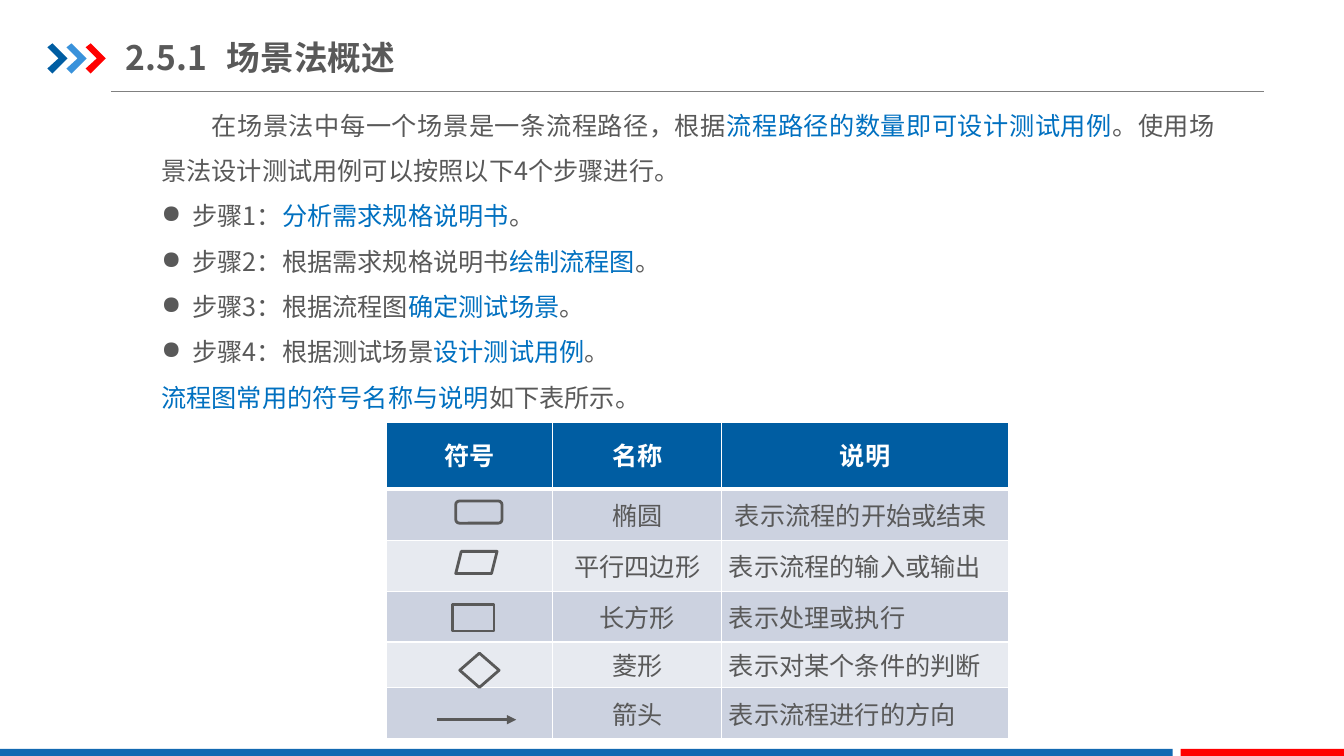
from typing import NamedTuple

import pptx
import pptx.dml.color
import pptx.enum.shapes
import pptx.enum.text
import pptx.oxml
import pptx.oxml.ns
import pptx.util
from pptx.dml.color import RGBColor
from pptx.enum.shapes import MSO_SHAPE
from pptx.enum.text import MSO_ANCHOR, PP_ALIGN
from pptx.util import Inches

FONT = "Noto Sans CJK SC"
NAVY = RGBColor(0x00, 0x5D, 0xA2)
SKY = RGBColor(0x39, 0x92, 0xDB)
RED = RGBColor(0xFF, 0x00, 0x00)
FOOTER_BLUE = RGBColor(0x13, 0x69, 0xB2)
HIGHLIGHT = RGBColor(0x00, 0x70, 0xC0)
INK = RGBColor(0x59, 0x59, 0x59)
GRAY = RGBColor(0x80, 0x80, 0x80)
WHITE = RGBColor(0xFF, 0xFF, 0xFF)
BANDS = (RGBColor(0xCC, 0xD2, 0xE0), RGBColor(0xE7, 0xEA, 0xF0))


class Span(NamedTuple):
    text: str
    color: RGBColor = INK


class Line(NamedTuple):
    spans: list[Span]
    margin: float = 0
    indent: float = 0
    bullet: str = ""


class Box(NamedTuple):
    preset: MSO_SHAPE
    left: float
    top: float
    width: float
    height: float
    fill: RGBColor | None = None


class SymbolRow(NamedTuple):
    name: str
    meaning: str
    height: float
    meaning_inset: float = 0.07


def step(number: int, lead: str, key: str) -> Line:
    return Line([Span(f"步骤{number}：{lead}"), Span(key, HIGHLIGHT), Span("。")], 0.31, -0.31, "●")


BODY = [
    Line([Span("在场景法中每一个场景是一条流程路径，根据"),
          Span("流程路径的数量即可设计测试用例", HIGHLIGHT),
          Span("。使用场景法设计测试用例可以按照以下4个步骤进行。")], indent=0.5),
    step(1, "", "分析需求规格说明书"),
    step(2, "根据需求规格说明书", "绘制流程图"),
    step(3, "根据流程图", "确定测试场景"),
    step(4, "根据测试场景", "设计测试用例"),
    Line([Span("流程图常用的符号名称与说明", HIGHLIGHT), Span("如下表所示。")]),
]
FOOTER = [
    Box(MSO_SHAPE.RECTANGLE, 0, 7.43, 11.63, 0.09, FOOTER_BLUE),
    Box(MSO_SHAPE.RECTANGLE, 11.71, 7.43, 1.63, 0.09, RED),
]
SYMBOLS = [
    Box(MSO_SHAPE.ROUNDED_RECTANGLE, 4.52, 4.97, 0.46, 0.22),
    Box(MSO_SHAPE.PARALLELOGRAM, 4.52, 5.47, 0.41, 0.22),
    Box(MSO_SHAPE.DIAMOND, 4.56, 6.48, 0.39, 0.34),
    Box(MSO_SHAPE.RECTANGLE, 4.49, 6, 0.41, 0.26),
]
HEADINGS = ("符号", "名称", "说明")
HEADING_HEIGHT = 0.66
COLUMN_WIDTHS = (1.65, 1.68, 2.84)
SYMBOL_ROWS = [
    SymbolRow("椭圆", "表示流程的开始或结束", 0.51, 0.13),
    SymbolRow("平行四边形", "表示流程的输入或输出", 0.51),
    SymbolRow("长方形", "表示处理或执行", 0.5),
    SymbolRow("菱形", "表示对某个条件的判断", 0.45),
    SymbolRow("箭头", "表示流程进行的方向", 0.51),
]
CHEVRON = [(0, 0.47), (0.05, 0.43), (0.2, 0.58), (0.05, 0.73), (0, 0.68), (0.11, 0.58)]
CHEVRON_LEFT, CHEVRON_STEP = 0.47, 0.19


def add_run(paragraph, text: str, size: float, color: RGBColor, bold: bool = False) -> None:
    run = paragraph.add_run()
    run.text = text
    run.font.size = pptx.util.Pt(size)
    run.font.bold = bold
    run.font.color.rgb = color
    run.font.name = FONT
    east_asian = pptx.oxml.parse_xml(f'<a:ea {pptx.oxml.ns.nsdecls("a")} typeface="{FONT}"/>')
    run.font._element.append(east_asian)


def set_insets(holder, side: float, vertical: float) -> None:
    holder.margin_left = holder.margin_right = Inches(side)
    holder.margin_top = holder.margin_bottom = Inches(vertical)


def draw_box(slide, box: Box) -> None:
    shape = slide.shapes.add_shape(
        box.preset, Inches(box.left), Inches(box.top), Inches(box.width), Inches(box.height))
    shape.shadow.inherit = False
    if box.fill is None:
        shape.fill.background()
        shape.line.color.rgb = INK
        shape.line.width = pptx.util.Pt(2)
    else:
        shape.fill.solid()
        shape.fill.fore_color.rgb = box.fill
        shape.line.fill.background()


def draw_rule(slide, left: float, right: float, y: float, color: RGBColor,
              width: float, arrow: bool = False) -> None:
    rule = slide.shapes.add_connector(
        pptx.enum.shapes.MSO_CONNECTOR.STRAIGHT, Inches(left), Inches(y), Inches(right), Inches(y))
    rule.line.color.rgb = color
    rule.line.width = pptx.util.Pt(width)
    namespace = pptx.oxml.ns.nsdecls("a")
    if arrow:
        rule.line._get_or_add_ln().append(
            pptx.oxml.parse_xml(f'<a:tailEnd {namespace} type="triangle"/>'))
    rule._element.spPr.append(pptx.oxml.parse_xml(f"<a:effectLst {namespace}/>"))


def draw_chevron(slide, left: float, color: RGBColor) -> None:
    points = [(Inches(left + x), Inches(y)) for x, y in CHEVRON]
    builder = slide.shapes.build_freeform(*points[0])
    builder.add_line_segments(points[1:], close=True)
    chevron = builder.convert_to_shape()
    chevron.shadow.inherit = False
    chevron.fill.solid()
    chevron.fill.fore_color.rgb = color
    chevron.line.fill.background()


def draw_title(slide) -> None:
    title = slide.shapes.add_textbox(Inches(1.25), Inches(0.29), Inches(4.26), Inches(0.55)).text_frame
    title.word_wrap = True
    title.vertical_anchor = MSO_ANCHOR.MIDDLE
    set_insets(title, 0, 0.07)
    add_run(title.paragraphs[0], "2.5.1\t场景法概述", 24, INK, bold=True)


def draw_body(slide, lines: list[Line]) -> None:
    body = slide.shapes.add_textbox(Inches(1.47), Inches(0.87), Inches(10.71), Inches(3.32)).text_frame
    body.word_wrap = True
    body.auto_size = pptx.enum.text.MSO_AUTO_SIZE.SHAPE_TO_FIT_TEXT
    set_insets(body, 0.13, 0.07)
    for index, line in enumerate(lines):
        paragraph = body.add_paragraph() if index else body.paragraphs[0]
        properties = paragraph._p.get_or_add_pPr()
        properties.set("marL", str(Inches(line.margin)))
        properties.set("indent", str(Inches(line.indent)))
        if line.bullet:
            properties.append(pptx.oxml.parse_xml(
                f'<a:buChar {pptx.oxml.ns.nsdecls("a")} char="{line.bullet}"/>'))
        paragraph.alignment = PP_ALIGN.JUSTIFY
        paragraph.line_spacing = 1.5
        for span in line.spans:
            add_run(paragraph, span.text, 18, span.color)


def style_cell(cell, fill: RGBColor, top: float, bottom: float) -> None:
    properties = cell._tc.get_or_add_tcPr()
    for side, width in (("L", 1), ("R", 1), ("T", top), ("B", bottom)):
        properties.append(pptx.oxml.parse_xml(
            f'<a:ln{side} {pptx.oxml.ns.nsdecls("a")} w="{pptx.util.Pt(width)}">'
            f'<a:solidFill><a:srgbClr val="{WHITE}"/></a:solidFill></a:ln{side}>'))
    cell.fill.solid()
    cell.fill.fore_color.rgb = fill
    cell.vertical_anchor = MSO_ANCHOR.MIDDLE


def draw_symbol_table(slide) -> None:
    heights = [HEADING_HEIGHT] + [row.height for row in SYMBOL_ROWS]
    table = slide.shapes.add_table(
        len(heights), len(HEADINGS), Inches(3.83), Inches(4.19),
        Inches(sum(COLUMN_WIDTHS)), Inches(sum(heights))).table
    for column, width in zip(table.columns, COLUMN_WIDTHS):
        column.width = Inches(width)
    for row, height in zip(table.rows, heights):
        row.height = Inches(height)
    for index, heading in enumerate(HEADINGS):
        cell = table.cell(0, index)
        style_cell(cell, NAVY, 1, 3)
        paragraph = cell.text_frame.paragraphs[0]
        paragraph.alignment = PP_ALIGN.CENTER
        paragraph.line_spacing = 0.9
        add_run(paragraph, heading, 18, WHITE, bold=True)
    for number, row in enumerate(SYMBOL_ROWS, start=1):
        for index, text in enumerate(("", row.name, row.meaning)):
            cell = table.cell(number, index)
            style_cell(cell, BANDS[(number - 1) % 2], 3 if number == 1 else 1, 1)
            set_insets(cell, 0.07, 0)
            paragraph = cell.text_frame.paragraphs[0]
            if text:
                paragraph.alignment = PP_ALIGN.CENTER if index == 1 else PP_ALIGN.LEFT
                add_run(paragraph, text, 18, INK)
        table.cell(number, 2).margin_left = Inches(row.meaning_inset)


def main() -> None:
    deck = pptx.Presentation()
    deck.slide_width, deck.slide_height = Inches(13.33), Inches(7.5)
    slide = deck.slides.add_slide(deck.slide_layouts[6])
    draw_rule(slide, 1.1, 12.54, 0.91, GRAY, 0.75)
    for index, color in enumerate((NAVY, SKY, RED)):
        draw_chevron(slide, CHEVRON_LEFT + index * CHEVRON_STEP, color)
    for bar in FOOTER:
        draw_box(slide, bar)
    draw_body(slide, BODY)
    draw_title(slide)
    draw_symbol_table(slide)
    for symbol in SYMBOLS:
        draw_box(slide, symbol)
    draw_rule(slide, 4.33, 5.12, 7.14, INK, 2.25, arrow=True)
    deck.save("out.pptx")


if __name__ == "__main__":
    main()
